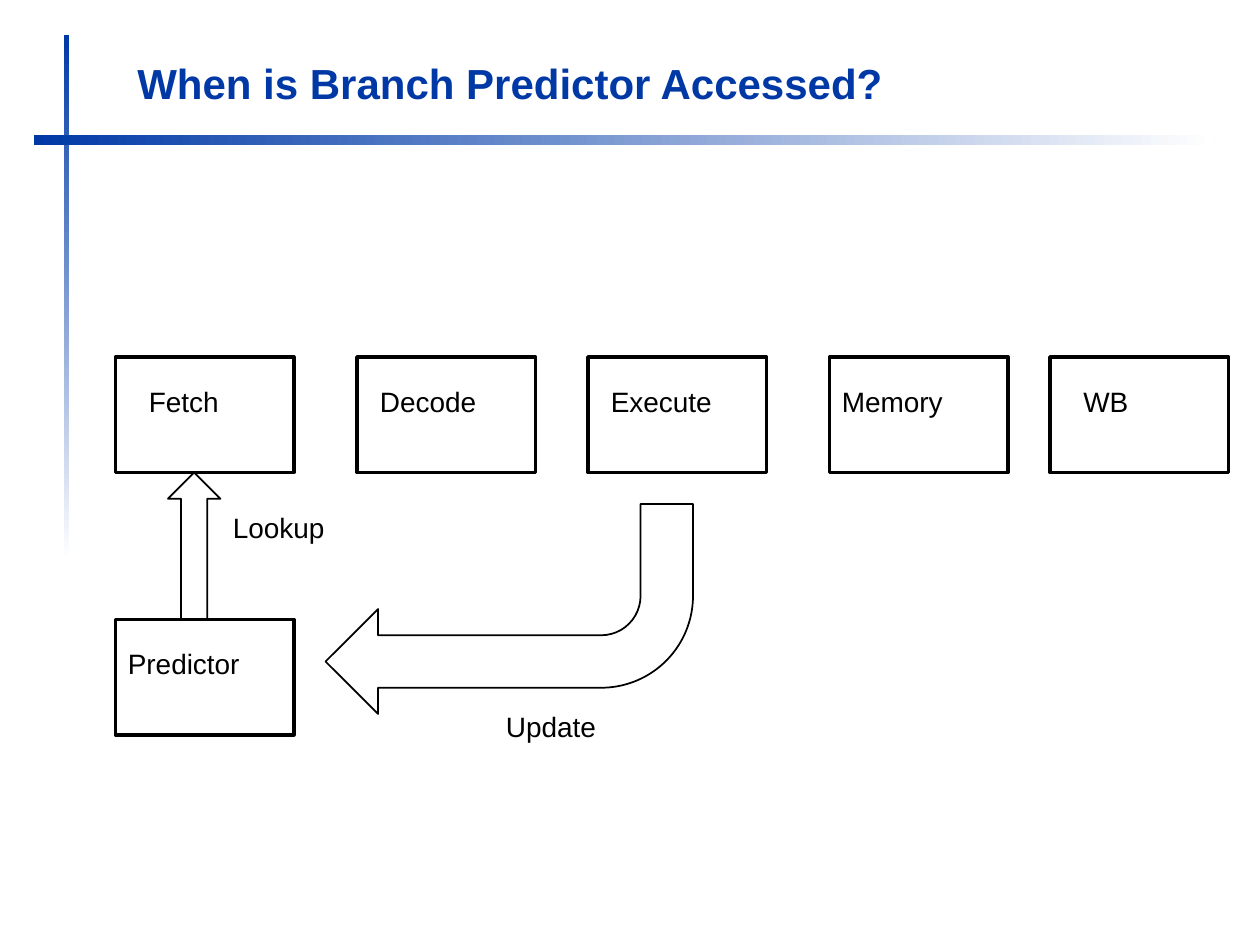
from pptx import Presentation
from pptx.dml.color import RGBColor
from pptx.enum.shapes import MSO_SHAPE
from pptx.enum.text import MSO_ANCHOR, PP_ALIGN
from pptx.util import Inches, Pt

COLORS = {"blue": "0039A6", "white": "FFFFFF", "black": "000000"}
TITLE = "When is Branch Predictor Accessed?"
TITLE_FORMAT = {"name": "Arial", "size": Pt(24), "bold": True}
LABEL_FORMAT = {"name": "Arial", "size": Pt(16), "bold": False}

# Places are in cells of a grid of 120 columns by 90 rows.
COLUMNS, ROWS = 120, 90
BOX_WIDTH, BOX_HEIGHT, LABEL_DROP, LABEL_HEIGHT = 17, 11, 2, 4.4
STAGE_ROW, PREDICTOR_ROW = 34, 59

# text, column, row, indent of the label, width of the label
UNITS = [
    ("Fetch", 11, STAGE_ROW, 2, 12),
    ("Decode", 34, STAGE_ROW, 1, 15),
    ("Execute", 56, STAGE_ROW, 1, 16),
    ("Memory", 79, STAGE_ROW, 0, 17),
    ("WB", 100, STAGE_ROW, 2, 12),
    ("Predictor", 11, PREDICTOR_ROW, 0, 18),
]
# text, column, row, width
ARROW_LABELS = [("Update", 47, 67, 14), ("Lookup", 21, 48, 17)]
# preset, column, row, width, height, rotation
LOOKUP_ROW = STAGE_ROW + BOX_HEIGHT
ARROWS = [
    (MSO_SHAPE.BENT_ARROW, 31, 48, 35, 20, 180),
    (MSO_SHAPE.UP_ARROW, 16, LOOKUP_ROW, 5, PREDICTOR_ROW - LOOKUP_ROW, 0),
]
# left, top, width, height in inches, gradient angle
RULES = [(0.51, 0.28, 0.04, 4.17, 270), (0.27, 1.07, 9.37, 0.08, 0)]

deck = Presentation()
deck.slide_width, deck.slide_height = Inches(10), Inches(7.5)
page = deck.slides.add_slide(deck.slide_layouts[5])


def color(name):
    return RGBColor.from_string(COLORS[name])


def cells(left, top, width, height):
    across, down = deck.slide_width / COLUMNS, deck.slide_height / ROWS
    return [round(n) for n in (left * across, top * down, width * across, height * down)]


def write(frame, text, formats, color_name):
    frame.word_wrap = True
    para = frame.paragraphs[0]
    para.alignment = PP_ALIGN.LEFT
    span = para.add_run()
    span.text = text
    for key, value in formats.items():
        setattr(span.font, key, value)
    span.font.color.rgb = color(color_name)


def add_label(text, left, top, width):
    box = page.shapes.add_textbox(*cells(left, top, width, LABEL_HEIGHT))
    write(box.text_frame, text, LABEL_FORMAT, "black")


def add_outline(preset, place, line_width):
    shape = page.shapes.add_shape(preset, *place)
    shape.shadow.inherit = False
    shape.fill.background()
    shape.line.color.rgb = color("black")
    shape.line.width = Pt(line_width)
    return shape


for *place, angle in RULES:
    rule = page.shapes.add_shape(MSO_SHAPE.RECTANGLE, *map(Inches, place))
    rule.shadow.inherit = False
    rule.line.fill.background()
    rule.fill.gradient()
    rule.fill.gradient_angle = angle
    for stop, name in zip(rule.fill.gradient_stops, ("blue", "white")):
        stop.color.rgb = color(name)

title = page.shapes.title
title.left, title.top, title.width, title.height = map(Inches, (0.99, 0, 7.58, 0.91))
title.text_frame.vertical_anchor = MSO_ANCHOR.BOTTOM
write(title.text_frame, TITLE, TITLE_FORMAT, "blue")

for text, column, row, indent, label_width in UNITS:
    add_outline(MSO_SHAPE.RECTANGLE, cells(column, row, BOX_WIDTH, BOX_HEIGHT), 2)
    add_label(text, column + indent, row + LABEL_DROP, label_width)

for preset, *place, rotation in ARROWS:
    add_outline(preset, cells(*place), 1).rotation = rotation

for label in ARROW_LABELS:
    add_label(*label)

deck.save("out.pptx")
